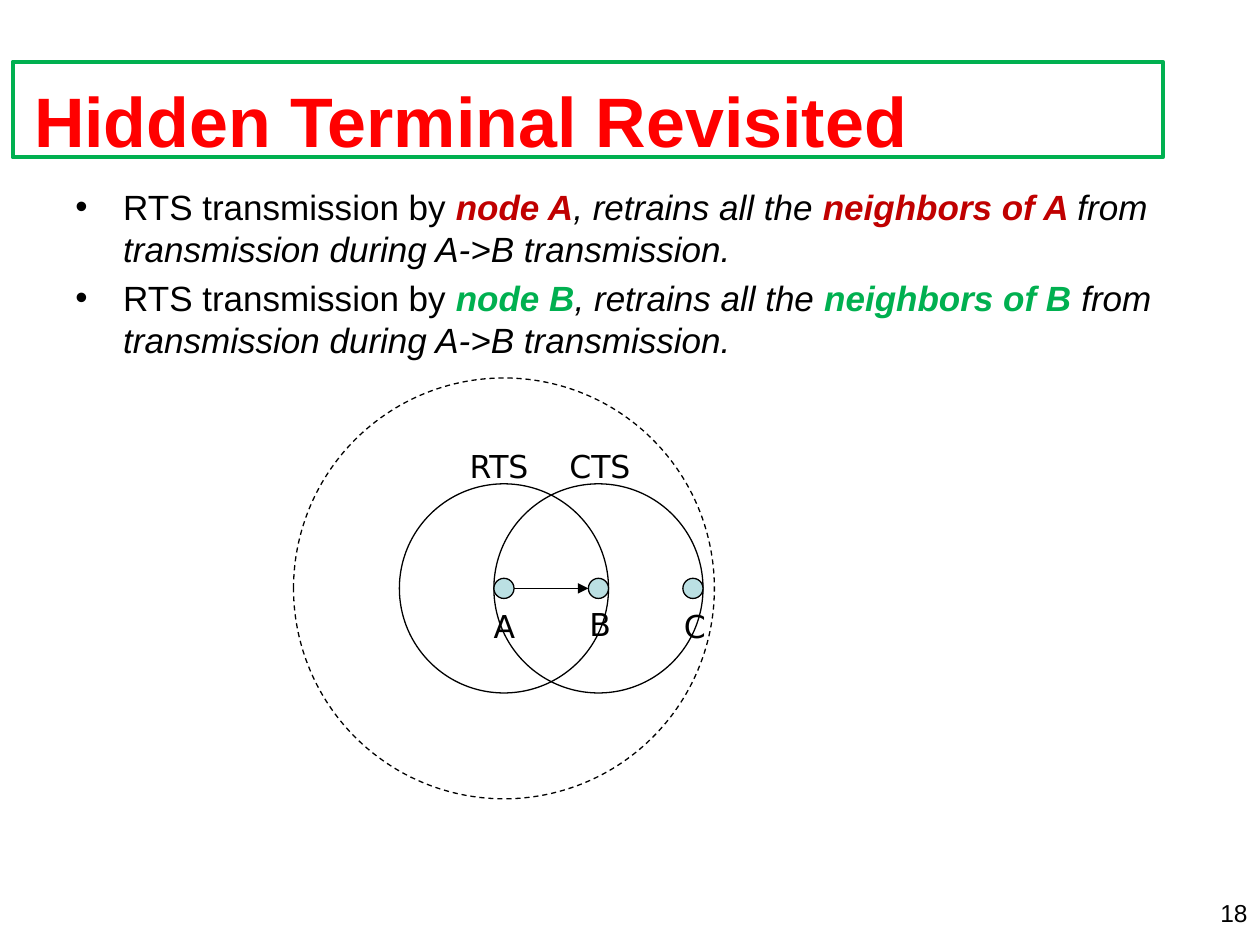
from lxml import etree
from pptx import Presentation
from pptx.dml.color import RGBColor
from pptx.enum.dml import MSO_LINE_DASH_STYLE as Dash
from pptx.enum.shapes import MSO_CONNECTOR, MSO_SHAPE
from pptx.enum.text import MSO_ANCHOR, MSO_AUTO_SIZE, PP_ALIGN
from pptx.oxml.ns import qn
from pptx.util import Inches, Pt

BLACK = RGBColor(0x00, 0x00, 0x00)
RED = RGBColor(0xFF, 0x00, 0x00)
DARK_RED = RGBColor(0xC0, 0x00, 0x00)
GREEN = RGBColor(0x00, 0xB0, 0x50)
PALE_BLUE = RGBColor(0xBB, 0xE0, 0xE3)


def add_run(para, text, size, color=BLACK, font="Arial", bold=False, italic=False):
    span = para.add_run()
    span.text = text
    span.font.name = font
    span.font.size = Pt(size)
    span.font.color.rgb = color
    span.font.bold = bold
    span.font.italic = italic


def add_outline(kind, left, top, width, height, color=BLACK, weight=0.75, fill=None):
    shape = page.shapes.add_shape(
        kind, Inches(left), Inches(top), Inches(width), Inches(height))
    shape.shadow.inherit = False
    if fill is None:
        shape.fill.background()
    else:
        shape.fill.solid()
        shape.fill.fore_color.rgb = fill
    shape.line.color.rgb = color
    shape.line.width = Pt(weight)
    return shape


deck = Presentation()
deck.slide_width, deck.slide_height = Inches(10), Inches(7.5)
page = deck.slides.add_slide(deck.slide_layouts[5])

# Title
title = page.shapes.title
title.left, title.top = Inches(0.17), Inches(0.32)
title.width, title.height = Inches(9.58), Inches(1.25)
frame = title.text_frame
frame.auto_size = MSO_AUTO_SIZE.NONE
frame.vertical_anchor = MSO_ANCHOR.MIDDLE
frame.paragraphs[0].alignment = PP_ALIGN.LEFT
add_run(frame.paragraphs[0], "Hidden Terminal Revisited", 40, RED, bold=True)

# Bullets: one per sender
body = page.shapes.add_textbox(Inches(0.5), Inches(1.42), Inches(9), Inches(5.28))
frame = body.text_frame
frame.word_wrap = True
for index, (node, color) in enumerate([("A", DARK_RED), ("B", GREEN)]):
    para = frame.add_paragraph() if index else frame.paragraphs[0]
    if index:
        para.space_before = Pt(4)
    props = para._p.get_or_add_pPr()
    props.set("marL", str(Inches(0.38)))
    props.set("indent", str(-Inches(0.38)))
    etree.SubElement(props, qn("a:buFont")).set("typeface", "Arial")
    etree.SubElement(props, qn("a:buChar")).set("char", "•")
    add_run(para, "RTS transmission by ", 20)
    add_run(para, f"node {node}", 20, color, bold=True, italic=True)
    add_run(para, ", retrains all the ", 20, italic=True)
    add_run(para, f"neighbors of {node} ", 20, color, bold=True, italic=True)
    add_run(para, "from transmission during A->B transmission.", 20, italic=True)

# Ranges around A and B
NODE_X = {"A": 4, "B": 4.75, "C": 5.5}
NODE_Y = 4.67
NODE_RADIUS = 0.08
for node, radius, dashed in [("A", 1.67, True), ("A", 0.83, False), ("B", 0.83, False)]:
    circle = add_outline(MSO_SHAPE.OVAL, NODE_X[node] - radius, NODE_Y - radius,
                         2 * radius, 2 * radius)
    if dashed:
        circle.line.dash_style = Dash.DASH

# Nodes
for x in NODE_X.values():
    add_outline(MSO_SHAPE.OVAL, x - NODE_RADIUS, NODE_Y - NODE_RADIUS,
                2 * NODE_RADIUS, 2 * NODE_RADIUS, fill=PALE_BLUE)

# Arrow from A to B
arrow = page.shapes.add_connector(
    MSO_CONNECTOR.STRAIGHT,
    Inches(NODE_X["A"] + NODE_RADIUS), Inches(NODE_Y),
    Inches(NODE_X["B"] - NODE_RADIUS), Inches(NODE_Y))
arrow.line.color.rgb = BLACK
arrow.line.width = Pt(0.75)
etree.SubElement(arrow.line._get_or_add_ln(), qn("a:tailEnd")).set("type", "triangle")
etree.SubElement(arrow._element.spPr, qn("a:effectLst"))

# Node and range labels, page number
labels = [
    ("A", 3.82, 4.77, 0.38, 0.4),
    ("B", 4.58, 4.75, 0.38, 0.4),
    ("C", 5.33, 4.77, 0.38, 0.4),
    ("RTS", 3.63, 3.5, 0.7, 0.4),
    ("CTS", 4.42, 3.5, 0.7, 0.4),
    ("18", 7.67, 7.08, 2.33, 0.25),
]
for text, left, top, width, height in labels:
    box = page.shapes.add_textbox(
        Inches(left), Inches(top), Inches(width), Inches(height))
    box.text_frame.word_wrap = True
    para = box.text_frame.paragraphs[0]
    if text.isdigit():
        para.alignment = PP_ALIGN.RIGHT
        add_run(para, text, 14)
    else:
        add_run(para, text, 18, font="DejaVu Sans")

# Title frame
add_outline(MSO_SHAPE.RECTANGLE, 0.1, 0.49, 9.13, 0.76, GREEN, 2.25)

deck.save("out.pptx")
